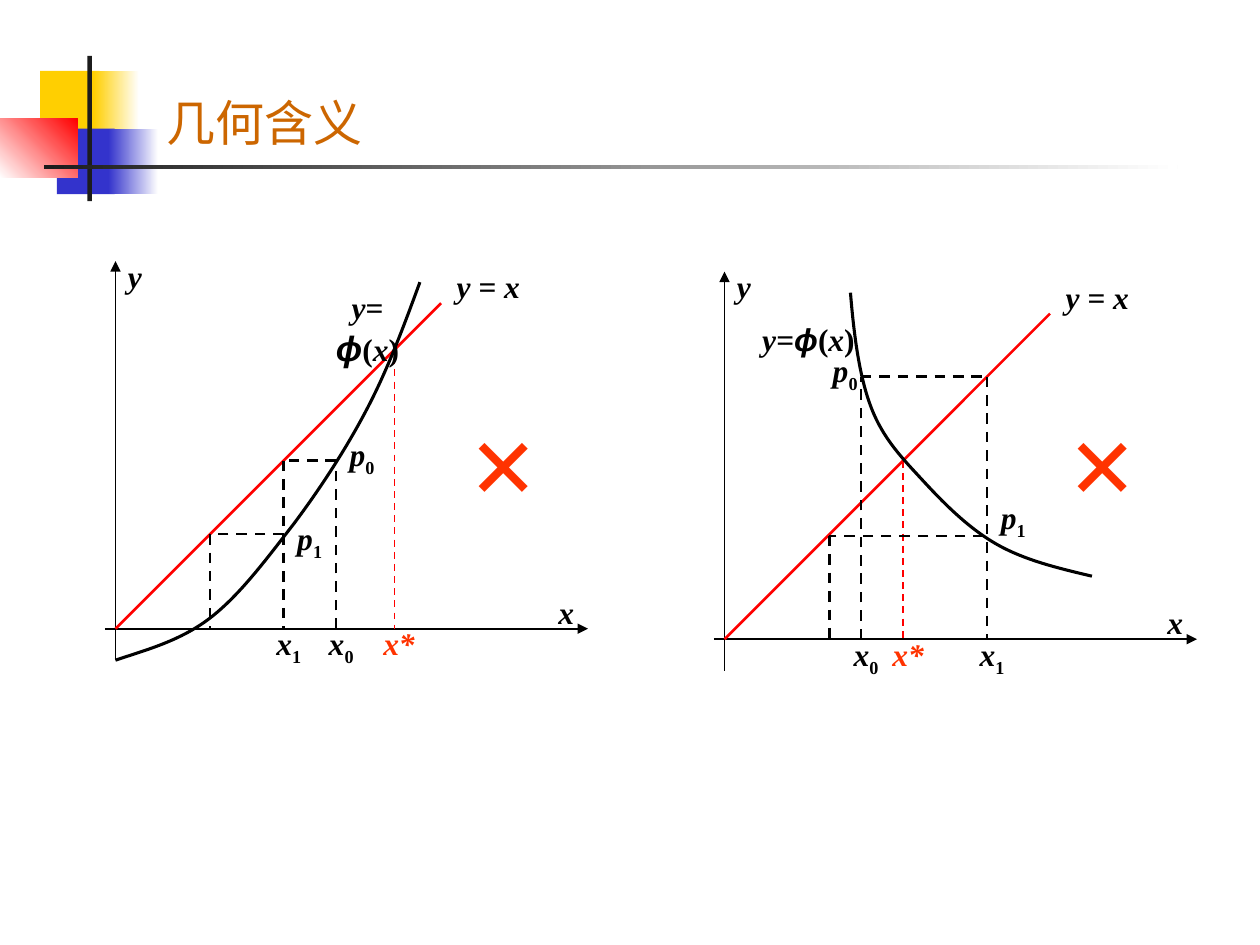
import dataclasses

import lxml.etree
import pptx
import pptx.dml.color
import pptx.enum.dml
import pptx.enum.shapes
import pptx.enum.text
import pptx.oxml.ns
import pptx.util

Pt = pptx.util.Pt
qn = pptx.oxml.ns.qn


@dataclasses.dataclass(frozen=True)
class Theme:
    black: str = "000000"
    white: str = "FFFFFF"
    red: str = "FF0000"
    orange: str = "FF3300"
    title: str = "CC6600"
    yellow: str = "FFCF01"
    blue: str = "3333CC"
    dark: str = "1C1C1C"
    serif: str = "Times New Roman"
    sans: str = "Arial"
    title_size: float = 28
    label_size: float = 18
    cross_size: float = 48
    axis_width: float = 1
    line_width: float = 1.5
    curve_width: float = 1.75


class Painter:
    """Draws styled elements on one slide, in points from a movable origin."""

    def __init__(self, page, theme):
        self.page, self.theme = page, theme
        self.origin = (0, 0)

    def place(self, x, y):
        return Pt(self.origin[0] + x), Pt(self.origin[1] + y)

    def color(self, value):
        return pptx.dml.color.RGBColor.from_string(value)

    def block(self, x, y, width, height, *colors, angle=0):
        box = self.page.shapes.add_shape(
            pptx.enum.shapes.MSO_SHAPE.RECTANGLE, *self.place(x, y), Pt(width), Pt(height))
        box.shadow.inherit = False
        box.line.fill.background()
        if len(colors) == 1:
            box.fill.solid()
            box.fill.fore_color.rgb = self.color(colors[0])
            return
        box.fill.gradient()
        box.fill.gradient_angle = angle
        for stop, value in zip(box.fill.gradient_stops, colors):
            stop.color.rgb = self.color(value)

    def line(self, start, end, color, width, dashed=False, arrow=False):
        link = self.page.shapes.add_connector(
            pptx.enum.shapes.MSO_CONNECTOR.STRAIGHT, *self.place(*start), *self.place(*end))
        link.line.color.rgb = self.color(color)
        link.line.width = Pt(width)
        if dashed:
            link.line.dash_style = pptx.enum.dml.MSO_LINE.DASH
        if arrow:
            outline = link.line._get_or_add_ln()
            lxml.etree.SubElement(outline, qn("a:tailEnd"), type="triangle")
        lxml.etree.SubElement(link._element.spPr, qn("a:effectLst"))

    def guide(self, *points):
        for start, end in zip(points, points[1:]):
            self.line(start, end, self.theme.black, self.theme.line_width, dashed=True)

    def curve(self, points):
        start, *rest = [self.place(*point) for point in points]
        builder = self.page.shapes.build_freeform(*start)
        builder.add_line_segments(rest, close=False)
        shape = builder.convert_to_shape()
        shape.shadow.inherit = False
        shape.fill.background()
        shape.line.color.rgb = self.color(self.theme.black)
        shape.line.width = Pt(self.theme.curve_width)
        segments = list(shape._element.iter(qn("a:lnTo")))
        outline = segments[0].getparent()
        for first in range(0, len(segments), 3):
            bezier = lxml.etree.SubElement(outline, qn("a:cubicBezTo"))
            for segment in segments[first:first + 3]:
                bezier.append(segment[0])
                outline.remove(segment)

    def text(self, x, y, width, height, *runs, center=True, bottom=False):
        box = self.page.shapes.add_textbox(*self.place(x, y), Pt(width), Pt(height))
        frame = box.text_frame
        frame.word_wrap = True
        anchors = pptx.enum.text.MSO_ANCHOR
        frame.vertical_anchor = anchors.BOTTOM if bottom else anchors.TOP
        para = frame.paragraphs[0]
        aligns = pptx.enum.text.PP_ALIGN
        para.alignment = aligns.CENTER if center else aligns.LEFT
        for run in runs:
            self.run(para, **run)

    def run(self, para, text, size=None, font=None, color=None, bold=True, italic=True, sub=False):
        span = para.add_run()
        span.text = text
        span.font.size = Pt(size or self.theme.label_size)
        span.font.name = font or self.theme.serif
        span.font.bold, span.font.italic = bold, italic
        span.font.color.rgb = self.color(color or self.theme.black)
        if sub:
            span._r.get_or_add_rPr().set("baseline", "-25000")

    def indexed(self, x, y, letter, index):
        self.text(x, y, 30, 31.5, dict(text=letter), dict(text=index, italic=False, sub=True))

    def axes(self):
        theme = self.theme
        for start, end in (((-6, 0), (270, 0)), ((0, 18), (0, -210))):
            self.line(start, end, theme.black, theme.axis_width, arrow=True)
        self.text(246, -24, 24, 29, dict(text="x"), center=False)
        self.text(0, -216, 24, 29, dict(text="y"), center=False)
        self.line((0, 0), (186, -186), theme.red, theme.line_width)
        self.text(186, -210, 54, 29, dict(text="y = x"))

    def root(self, x, height, label_x):
        self.line((x, -height), (x, 0), self.theme.red, self.theme.axis_width, dashed=True)
        self.text(label_x, -6, 42, 29, dict(text="x*", color=self.theme.orange))

    def function_name(self, x, y, prefix, phi_size):
        self.text(x, y, 72, 30, dict(text=prefix),
                  dict(text="ϕ", size=phi_size, font=self.theme.sans),
                  dict(text="(", italic=False), dict(text="x"), dict(text=")", italic=False))

    def cross(self, x, y):
        self.text(x, y, 72, 65, dict(text="✕", size=self.theme.cross_size, font=self.theme.sans,
                                     color=self.theme.orange, bold=False, italic=False))


def draw_header(painter):
    theme = painter.theme
    painter.block(23, 40.5, 34, 37.5, theme.yellow)
    painter.block(53.5, 40.5, 26, 37.5, theme.yellow, theme.white)
    painter.block(32.5, 73.5, 33, 37.5, theme.blue)
    painter.block(62, 73.5, 28.5, 37.5, theme.blue, theme.white)
    painter.block(0, 68, 44.5, 33.5, theme.white, theme.red, angle=45)
    painter.block(50, 32, 2.5, 83, theme.dark)
    painter.block(25, 94.25, 648, 2.25, theme.dark, theme.white)
    painter.text(88, 0, 613.5, 90, dict(text="几何含义", size=theme.title_size, font=theme.sans,
                                        color=theme.title, bold=False, italic=False),
                 center=False, bottom=True)


def draw_rising(painter):
    painter.origin = (66, 359.25)
    painter.axes()
    painter.root(159.5, 162, 141)
    painter.curve([(0, 18), (18, 12), (37, 7), (54, -6), (71, -19), (86.5, -40), (102, -60),
                   (117, -80), (132, -103), (144, -126), (156, -149), (165, -173.5), (174, -198)])
    painter.function_name(108, -198, "y= ", 20)
    painter.guide((126, 0), (126, -96), (96, -96), (96, 0))
    painter.guide((96, -54), (54, -54), (54, 0))
    painter.indexed(114, -6, "x", "0")
    painter.indexed(126, -114, "p", "0")
    painter.indexed(84, -6, "x", "1")
    painter.indexed(96, -66, "p", "1")
    painter.cross(186, -126)


def draw_falling(painter):
    painter.origin = (414, 365.25)
    painter.axes()
    painter.root(102, 102, 84)
    painter.curve([(72, -198), (74, -174), (77, -150), (84, -132), (91, -114), (102, -103),
                   (114, -90), (126, -77), (140, -63), (156, -54), (172, -45), (191, -40.5),
                   (210, -36)])
    painter.function_name(12, -186, "y=", 18)
    painter.guide((78, 0), (78, -150), (150, -150), (150, 0))
    painter.guide((148, -59), (60, -59), (60, 0))
    painter.indexed(66, -6, "x", "0")
    painter.indexed(54, -168, "p", "0")
    painter.indexed(138, -6, "x", "1")
    painter.indexed(150, -84, "p", "1")
    painter.cross(180, -132)


def main():
    deck = pptx.Presentation()
    deck.slide_width, deck.slide_height = Pt(720), Pt(540)
    page = deck.slides.add_slide(deck.slide_layouts[6])
    painter = Painter(page, Theme())
    draw_header(painter)
    draw_rising(painter)
    draw_falling(painter)
    deck.save("out.pptx")


if __name__ == "__main__":
    main()
